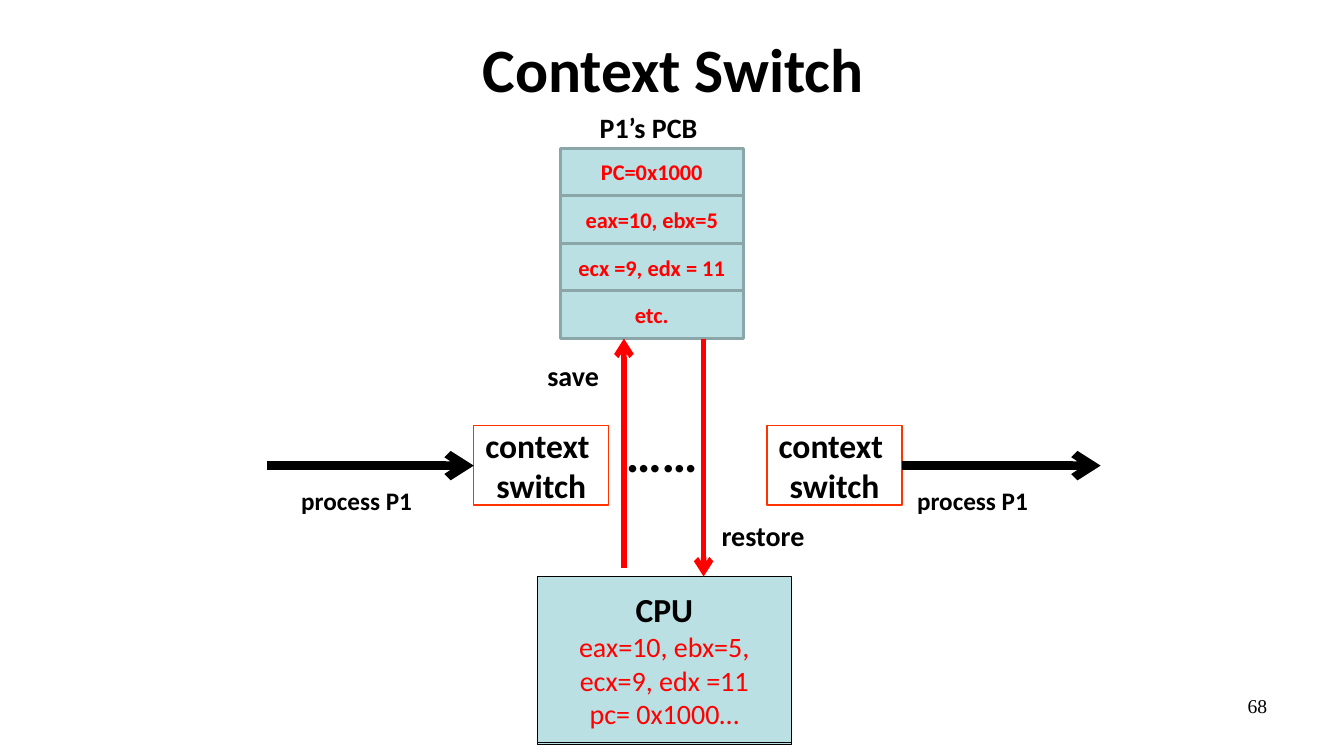
"""Build the Context Switch slide: saving P1's CPU state to its PCB and restoring it."""
from lxml import etree
from pptx import Presentation
from pptx.dml.color import RGBColor
from pptx.enum.shapes import MSO_CONNECTOR, MSO_SHAPE
from pptx.enum.text import MSO_ANCHOR, PP_ALIGN
from pptx.oxml.ns import qn
from pptx.util import Pt

LEFT, CENTER, RIGHT = PP_ALIGN.LEFT, PP_ALIGN.CENTER, PP_ALIGN.RIGHT
TOP, MIDDLE = MSO_ANCHOR.TOP, MSO_ANCHOR.MIDDLE
RECTANGLE, STRAIGHT = MSO_SHAPE.RECTANGLE, MSO_CONNECTOR.STRAIGHT
BLACK, RED, ORANGE, PALE_BLUE, GREY_BLUE = "000000", "FF0000", "FF3300", "BBE0E3", "8AA6A8"
rgb = RGBColor.from_string


def write(frame, text, size=20, color=BLACK, bold=True, font="Calibri",
          align=LEFT, anchor=TOP, wrap=False):
    frame.word_wrap = wrap
    frame.vertical_anchor = anchor
    for line in text.split("\n"):
        paragraph = frame.add_paragraph() if frame.text else frame.paragraphs[0]
        paragraph.alignment = align
        run = paragraph.add_run()
        run.text = line
        run.font.name, run.font.size, run.font.bold = font, Pt(size), bold
        run.font.color.rgb = rgb(color)


def add_box(left, top, width, height, line, line_width, fill=None):
    box = slide.shapes.add_shape(RECTANGLE, Pt(left), Pt(top), Pt(width), Pt(height))
    box.shadow.inherit = False
    box.line.color.rgb = rgb(line)
    box.line.width = Pt(line_width)
    if fill:
        box.fill.solid()
        box.fill.fore_color.rgb = rgb(fill)
    else:
        box.fill.background()
    return box.text_frame


deck = Presentation()
deck.slide_width, deck.slide_height = Pt(960), Pt(540)
slide = deck.slides.add_slide(deck.slide_layouts[5])

title = slide.shapes.title
title.left, title.top, title.width, title.height = Pt(49), Pt(3.6), Pt(864), Pt(90)
write(title.text_frame, "Context Switch", size=44, align=CENTER, anchor=MIDDLE, wrap=True)

pcb_rows = ["PC=0x1000", "eax=10, ebx=5", "ecx =9, edx = 11", "etc."]
row_height = 34
for index, entry in enumerate(pcb_rows):
    row = add_box(400.2, 105.8 + index * row_height, 130.7, row_height, GREY_BLUE, 2, PALE_BLUE)
    write(row, entry, size=16, color=RED, align=CENTER, anchor=MIDDLE, wrap=True)

for switch_left in (338.4, 547.9):
    switch = add_box(switch_left, 303.8, 96.5, 56.9, ORANGE, 1)
    write(switch, "context \nswitch", size=24, align=CENTER, anchor=MIDDLE)

for cpu_top in (413.3, 411.8):
    cpu = add_box(383.8, cpu_top, 181.4, 118.8, BLACK, 0.75, PALE_BLUE)
write(cpu, "CPU", size=24, align=CENTER, anchor=MIDDLE)
write(cpu, "eax=10, ebx=5,\necx=9, edx =11\npc= 0x1000…", color=RED, bold=False,
      align=CENTER, anchor=MIDDLE)

arrows = [
    (445.7, 406, 445.7, 241.9, RED, 4),
    (502.6, 241.9, 502.6, 411.8, RED, 4),
    (190.8, 332.6, 338.4, 332.6, BLACK, 6),
    (644.4, 332.6, 786.2, 332.6, BLACK, 6),
]
for x1, y1, x2, y2, color, weight in arrows:
    arrow = slide.shapes.add_connector(STRAIGHT, Pt(x1), Pt(y1), Pt(x2), Pt(y2))
    arrow.line.color.rgb = rgb(color)
    arrow.line.width = Pt(weight)
    properties = arrow._element.spPr
    etree.SubElement(properties.find(qn("a:ln")), qn("a:tailEnd"), type="arrow")
    etree.SubElement(properties, qn("a:effectLst"))

labels = [
    ("P1’s PCB", 421.2, 75.6, 85, 31.7, {}),
    ("save", 383.8, 252.7, 51.8, 31.7, {}),
    ("restore", 508.3, 366.5, 74.2, 31.7, {}),
    ("process P1", 208.1, 343.4, 96.5, 28.8, {"size": 18}),
    ("process P1", 648, 343.4, 96.5, 28.8, {"size": 18}),
    ("……", 439.9, 298.1, 66.2, 51.1, {"size": 36}),
    ("68", 688.3, 491.8, 223.9, 37.4,
     {"size": 14, "bold": False, "font": "Times New Roman", "align": RIGHT, "wrap": True}),
]
for text, left, top, width, height, style in labels:
    label = slide.shapes.add_textbox(Pt(left), Pt(top), Pt(width), Pt(height))
    write(label.text_frame, text, **style)

deck.save("out.pptx")
